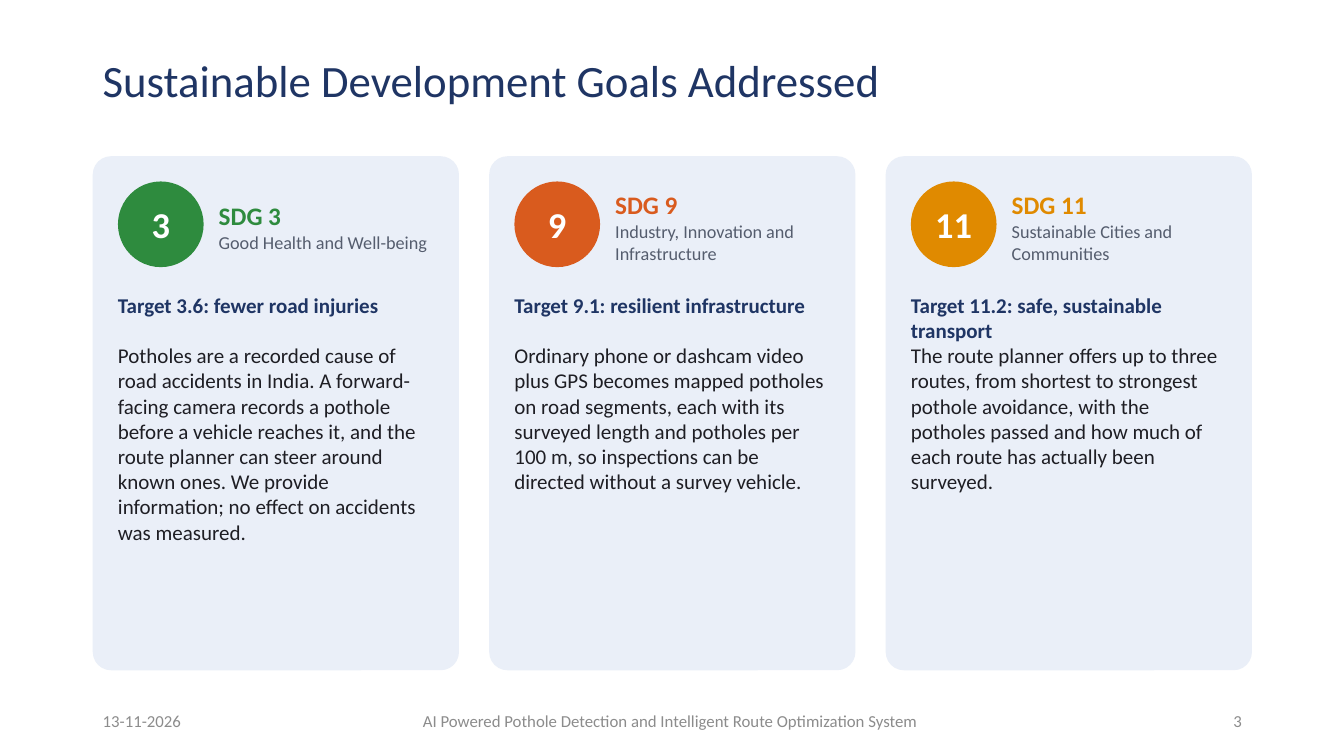
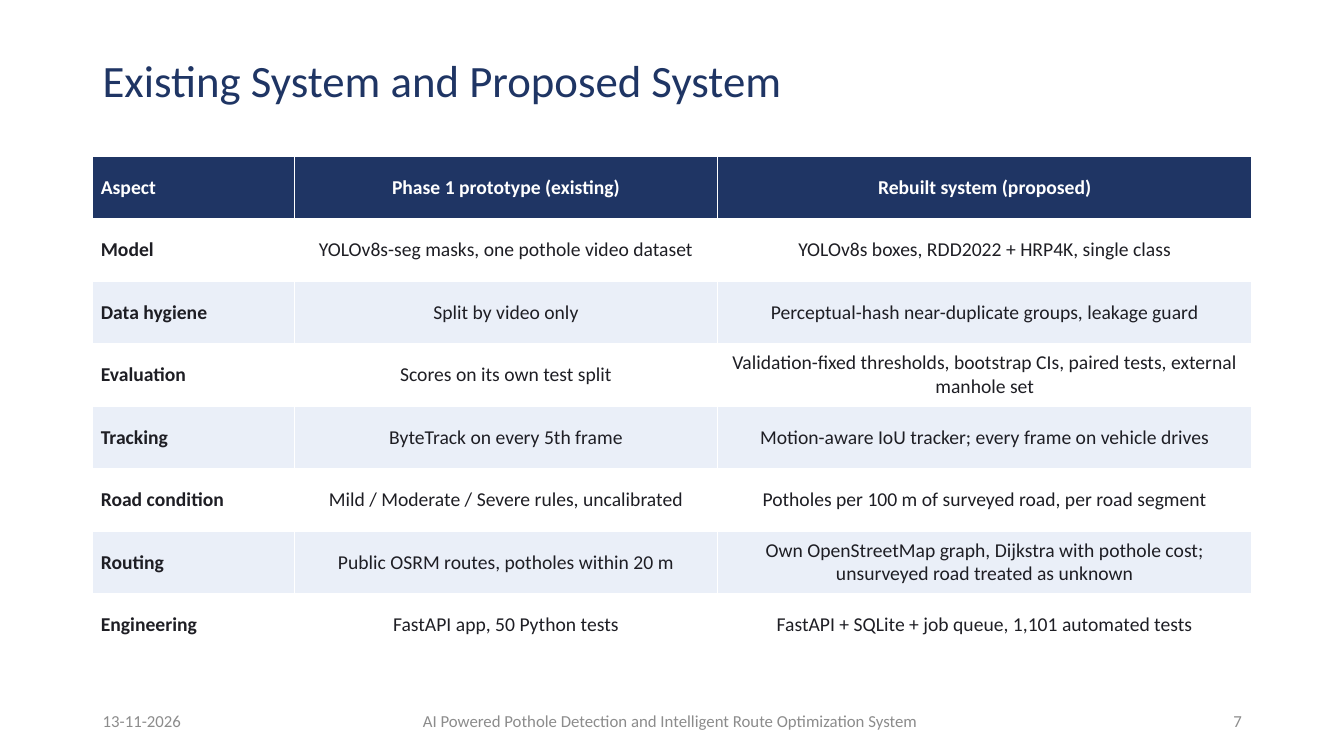
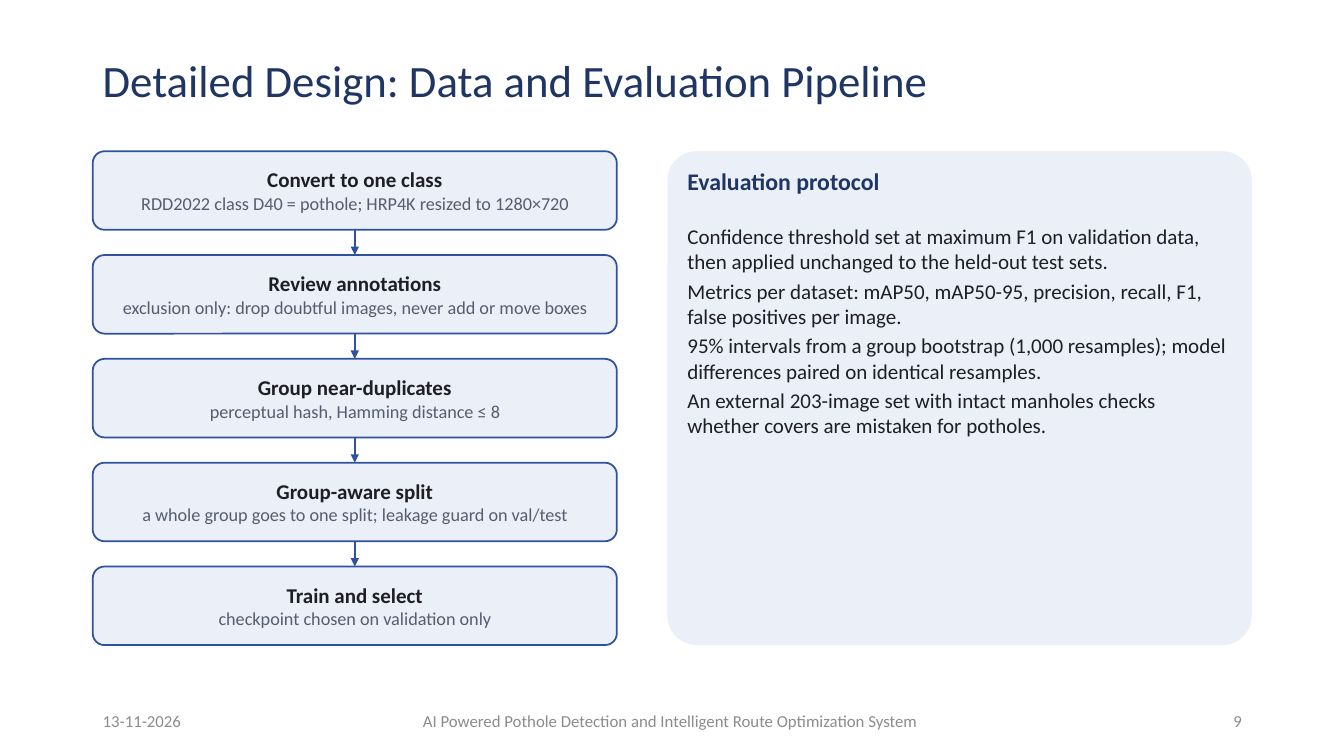
from dataclasses import dataclass

from lxml.etree import SubElement
from pptx import Presentation
from pptx.dml.color import RGBColor
from pptx.enum.shapes import MSO_CONNECTOR, MSO_SHAPE
from pptx.enum.text import MSO_ANCHOR, PP_ALIGN
from pptx.oxml.ns import qn
from pptx.util import Pt


@dataclass(frozen=True)
class Theme:
    font: str = "Calibri"
    navy: str = "1F3564"
    line: str = "2F529E"
    panel: str = "EAEFF8"
    white: str = "FFFFFF"
    ink: str = "1E1E24"
    muted: str = "555D6E"
    footer: str = "8C8C8C"
    green: str = "2E8B3E"
    orange: str = "D95B1E"
    amber: str = "E08A00"
    title_size: float = 32
    badge_size: float = 26
    goal_size: float = 18
    heading_size: float = 17
    body_size: float = 15
    table_size: float = 14
    detail_size: float = 13
    footer_size: float = 12


@dataclass(frozen=True)
class Box:
    left: float
    top: float
    width: float
    height: float

    def inner(self, x, y, width, height):
        return Box(self.left + x, self.top + y, width, height)

    def lengths(self):
        return [Pt(value) for value in (self.left, self.top, self.width, self.height)]


@dataclass(frozen=True)
class Line:
    text: str
    size: float
    color: str
    bold: bool = False


THEME = Theme()
LEFT, CONTENT_WIDTH = 66.24, 828
FOOTER_TOP, FOOTER_HEIGHT = 500.4, 28.8
DATE = "13-11-2026"
PROJECT = "AI Powered Pothole Detection and Intelligent Route Optimization System"
TABLE_COLUMNS = (144, 302.4, 381.6)
TABLE_ROW_HEIGHT = 44.64

GOALS = [
    ("3", THEME.green, "Good Health and Well-being", "Target 3.6: fewer road injuries",
     "Potholes are a recorded cause of road accidents in India. A forward-facing camera "
     "records a pothole before a vehicle reaches it, and the route planner can steer around "
     "known ones. We provide information; no effect on accidents was measured."),
    ("9", THEME.orange, "Industry, Innovation and Infrastructure",
     "Target 9.1: resilient infrastructure",
     "Ordinary phone or dashcam video plus GPS becomes mapped potholes on road segments, "
     "each with its surveyed length and potholes per 100 m, so inspections can be directed "
     "without a survey vehicle."),
    ("11", THEME.amber, "Sustainable Cities and Communities",
     "Target 11.2: safe, sustainable transport",
     "The route planner offers up to three routes, from shortest to strongest pothole "
     "avoidance, with the potholes passed and how much of each route has actually been "
     "surveyed."),
]

COMPARISON = [
    ("Aspect", "Phase 1 prototype (existing)", "Rebuilt system (proposed)"),
    ("Model", "YOLOv8s-seg masks, one pothole video dataset",
     "YOLOv8s boxes, RDD2022 + HRP4K, single class"),
    ("Data hygiene", "Split by video only",
     "Perceptual-hash near-duplicate groups, leakage guard"),
    ("Evaluation", "Scores on its own test split",
     "Validation-fixed thresholds, bootstrap CIs, paired tests, external manhole set"),
    ("Tracking", "ByteTrack on every 5th frame",
     "Motion-aware IoU tracker; every frame on vehicle drives"),
    ("Road condition", "Mild / Moderate / Severe rules, uncalibrated",
     "Potholes per 100 m of surveyed road, per road segment"),
    ("Routing", "Public OSRM routes, potholes within 20 m",
     "Own OpenStreetMap graph, Dijkstra with pothole cost; unsurveyed road treated as unknown"),
    ("Engineering", "FastAPI app, 50 Python tests",
     "FastAPI + SQLite + job queue, 1,101 automated tests"),
]

STEPS = [
    ("Convert to one class", "RDD2022 class D40 = pothole; HRP4K resized to 1280×720"),
    ("Review annotations", "exclusion only: drop doubtful images, never add or move boxes"),
    ("Group near-duplicates", "perceptual hash, Hamming distance ≤ 8"),
    ("Group-aware split", "a whole group goes to one split; leakage guard on val/test"),
    ("Train and select", "checkpoint chosen on validation only"),
]

PROTOCOL = [
    "Confidence threshold set at maximum F1 on validation data, then applied unchanged to "
    "the held-out test sets.",
    "Metrics per dataset: mAP50, mAP50-95, precision, recall, F1, false positives per image.",
    "95% intervals from a group bootstrap (1,000 resamples); model differences paired on "
    "identical resamples.",
    "An external 203-image set with intact manholes checks whether covers are mistaken for "
    "potholes.",
]


# Shared drawing helpers
def color_of(value):
    return RGBColor.from_string(value)


def write_lines(frame, lines, align=PP_ALIGN.LEFT, space_after=0, line_spacing=None):
    for index, line in enumerate(lines):
        paragraph = frame.paragraphs[0] if index == 0 else frame.add_paragraph()
        paragraph.alignment = align
        paragraph.space_after = Pt(space_after)
        if line_spacing:
            paragraph.line_spacing = line_spacing
        run = paragraph.add_run()
        run.text = line.text
        run.font.name = THEME.font
        run.font.size = Pt(line.size)
        run.font.bold = line.bold
        run.font.color.rgb = color_of(line.color)


def set_margins(target, horizontal, vertical):
    target.margin_left = target.margin_right = Pt(horizontal)
    target.margin_top = target.margin_bottom = Pt(vertical)


def add_text(slide, box, lines, anchor=MSO_ANCHOR.TOP, margins=(0, 0), **style):
    frame = slide.shapes.add_textbox(*box.lengths()).text_frame
    frame.word_wrap = True
    frame.vertical_anchor = anchor
    set_margins(frame, *margins)
    write_lines(frame, lines, **style)


def add_filled(slide, kind, box, fill, radius=None, outline=None, lines=(), margins=(0, 0)):
    shape = slide.shapes.add_shape(kind, *box.lengths())
    shape.shadow.inherit = False
    shape.fill.solid()
    shape.fill.fore_color.rgb = color_of(fill)
    if radius is not None:
        shape.adjustments[0] = radius
    if outline:
        shape.line.color.rgb = color_of(outline)
        shape.line.width = Pt(1.25)
    else:
        shape.line.fill.background()
    if lines:
        frame = shape.text_frame
        frame.word_wrap = True
        frame.vertical_anchor = MSO_ANCHOR.MIDDLE
        set_margins(frame, *margins)
        write_lines(frame, lines, PP_ALIGN.CENTER)


def add_down_arrow(slide, x, top, bottom):
    connector = slide.shapes.add_connector(
        MSO_CONNECTOR.STRAIGHT, Pt(x), Pt(top), Pt(x), Pt(bottom))
    connector.line.color.rgb = color_of(THEME.line)
    connector.line.width = Pt(1.75)
    SubElement(connector.line._get_or_add_ln(), qn("a:tailEnd"), type="triangle")
    SubElement(connector._element.spPr, qn("a:effectLst"))


# Title and footer, common to all slides
def start_slide(presentation, title, number):
    slide = presentation.slides.add_slide(presentation.slide_layouts[6])
    framed = {"anchor": MSO_ANCHOR.MIDDLE, "margins": (7.2, 3.6)}
    add_text(slide, Box(LEFT, 28.8, 784.8, 61.2),
             [Line(title, THEME.title_size, THEME.navy)], line_spacing=0.9, **framed)
    footer_parts = [
        (259.2, 439.2, PROJECT, PP_ALIGN.CENTER),
        (LEFT + CONTENT_WIDTH - 216, 216, number, PP_ALIGN.RIGHT),
        (LEFT, 216, DATE, PP_ALIGN.LEFT),
    ]
    for left, width, text, align in footer_parts:
        add_text(slide, Box(left, FOOTER_TOP, width, FOOTER_HEIGHT),
                 [Line(text, THEME.footer_size, THEME.footer)], align=align, **framed)
    return slide


# Card for one development goal
def add_goal_card(slide, box, goal):
    number, accent, name, target, description = goal
    padding, badge = 18, 61.2
    text_width = box.width - 2 * padding
    add_filled(slide, MSO_SHAPE.ROUNDED_RECTANGLE, box, THEME.panel, radius=0.05)
    add_filled(slide, MSO_SHAPE.OVAL, box.inner(padding, padding, badge, badge), accent,
               lines=[Line(number, THEME.badge_size, THEME.white, True)], margins=(0, 3.6))
    add_text(slide, box.inner(90, 14.4, box.width - 100.8, 72),
             [Line(f"SDG {number}", THEME.goal_size, accent, True),
              Line(name, THEME.detail_size, THEME.muted)], MSO_ANCHOR.MIDDLE)
    add_text(slide, box.inner(padding, 97.2, text_width, 28.8),
             [Line(target, THEME.body_size, THEME.navy, True)], space_after=4)
    add_text(slide, box.inner(padding, 133.2, text_width, 223.2),
             [Line(description, THEME.body_size, THEME.ink)], space_after=4)


def add_goal_cards(slide, box, gap):
    width = (box.width - gap * (len(GOALS) - 1)) / len(GOALS)
    for index, goal in enumerate(GOALS):
        add_goal_card(slide, box.inner(index * (width + gap), 0, width, box.height), goal)


# Comparison table with banded rows
def add_comparison(slide, box):
    table = slide.shapes.add_table(len(COMPARISON), len(TABLE_COLUMNS), *box.lengths()).table
    for column, width in zip(table.columns, TABLE_COLUMNS):
        column.width = Pt(width)
    for row_index, texts in enumerate(COMPARISON):
        table.rows[row_index].height = Pt(TABLE_ROW_HEIGHT)
        header = row_index == 0
        band = THEME.white if row_index % 2 else THEME.panel
        for column_index, text in enumerate(texts):
            cell = table.cell(row_index, column_index)
            first = column_index == 0
            cell.fill.solid()
            cell.fill.fore_color.rgb = color_of(THEME.navy if header else band)
            cell.vertical_anchor = MSO_ANCHOR.MIDDLE
            set_margins(cell, 5.76, 2.16)
            color = THEME.white if header else THEME.ink
            write_lines(cell.text_frame,
                        [Line(text, THEME.table_size, color, header or first)],
                        PP_ALIGN.LEFT if first else PP_ALIGN.CENTER)


# Vertical chain of pipeline steps
def add_pipeline(slide, box, gap):
    height = (box.height - gap * (len(STEPS) - 1)) / len(STEPS)
    for index, (name, detail) in enumerate(STEPS):
        step = box.inner(0, index * (height + gap), box.width, height)
        if index:
            add_down_arrow(slide, step.left + step.width / 2, step.top - gap, step.top)
        add_filled(slide, MSO_SHAPE.ROUNDED_RECTANGLE, step, THEME.panel, 0.15, THEME.line,
                   [Line(name, THEME.body_size, THEME.ink, True),
                    Line(detail, THEME.detail_size, THEME.muted)], (4.32, 2.16))


# Panel with the evaluation protocol
def add_protocol(slide, box):
    padding = 14.4
    width = box.width - 2 * padding
    add_filled(slide, MSO_SHAPE.ROUNDED_RECTANGLE, box, THEME.panel, radius=0.06)
    add_text(slide, box.inner(padding, 10.8, width, 32.4),
             [Line("Evaluation protocol", THEME.heading_size, THEME.navy, True)],
             space_after=4)
    add_text(slide, box.inner(padding, 51.84, width, 293.76),
             [Line(text, THEME.body_size, THEME.ink) for text in PROTOCOL], space_after=3)


def main():
    presentation = Presentation()
    presentation.slide_width, presentation.slide_height = Pt(960), Pt(540)

    slide = start_slide(presentation, "Sustainable Development Goals Addressed", "3")
    add_goal_cards(slide, Box(LEFT, 111.6, CONTENT_WIDTH, 367.2), gap=21.6)

    slide = start_slide(presentation, "Existing System and Proposed System", "7")
    add_comparison(slide, Box(LEFT, 111.6, CONTENT_WIDTH, TABLE_ROW_HEIGHT * len(COMPARISON)))

    slide = start_slide(presentation, "Detailed Design: Data and Evaluation Pipeline", "9")
    add_pipeline(slide, Box(LEFT, 108, 374.4, 352.8), gap=18)
    add_protocol(slide, Box(LEFT + 410.4, 108, 417.6, 352.8))

    presentation.save("out.pptx")


if __name__ == "__main__":
    main()
